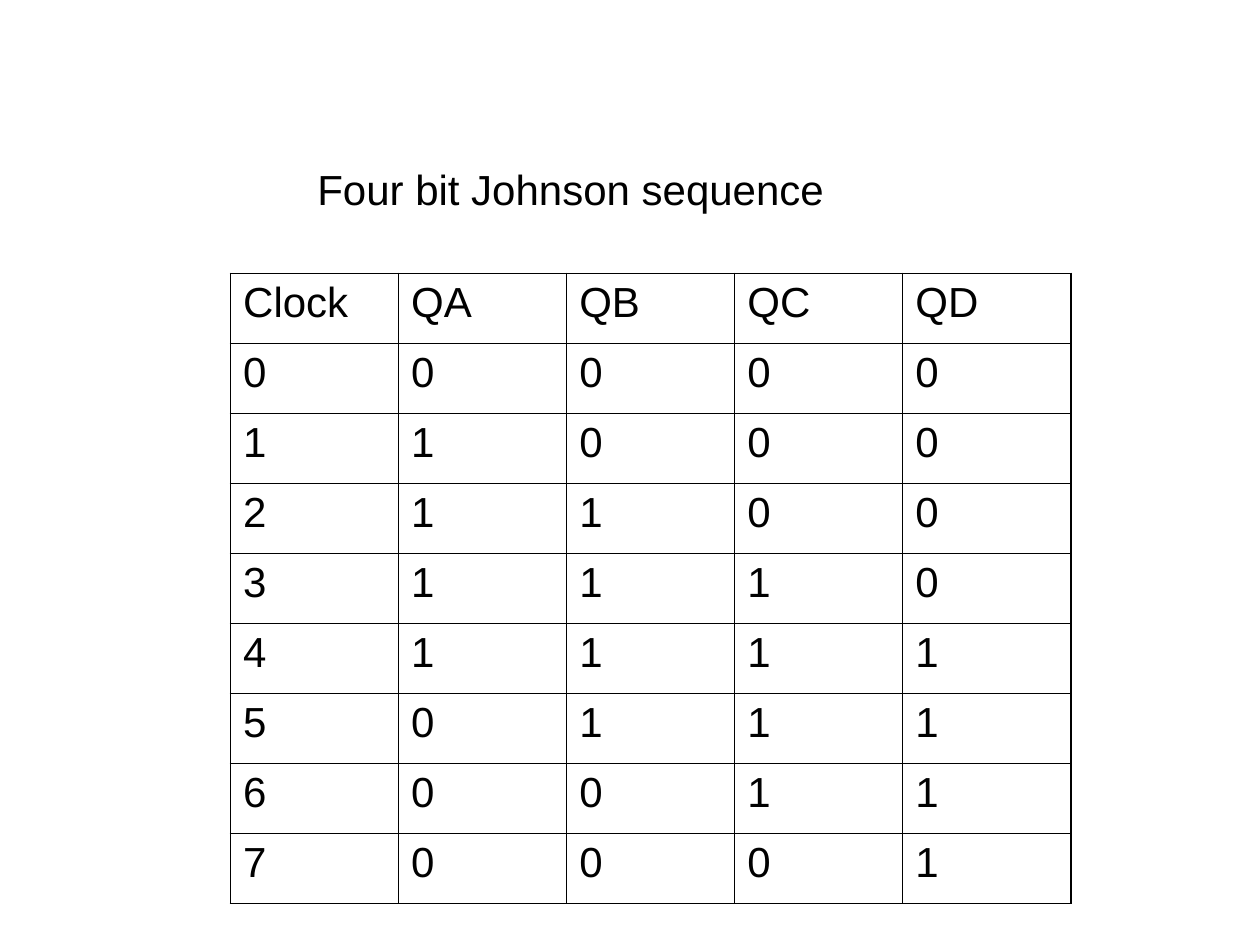
from lxml import etree
from pptx import Presentation
from pptx.dml.color import RGBColor
from pptx.enum import text
from pptx.oxml import parse_xml
from pptx.oxml.ns import nsdecls, qn
from pptx.util import Inches, Pt

BLACK = RGBColor(0x00, 0x00, 0x00)
BITS = ["QA", "QB", "QC", "QD"]
THICK, THIN = Pt(1.08), Pt(0.45)


def style(paragraph):
    font = paragraph.runs[0].font
    font.size = Pt(24)
    font.name = "Arial"
    font.color.rgb = BLACK
    return font


def add_border(cell, side, width):
    line = etree.SubElement(cell._tc.get_or_add_tcPr(), qn(f"a:ln{side}"), w=str(width))
    fill = etree.SubElement(line, qn("a:solidFill"))
    etree.SubElement(fill, qn("a:srgbClr"), val=str(BLACK))


prs = Presentation()
prs.slide_width, prs.slide_height = Inches(10), Inches(7.5)
slide = prs.slides.add_slide(prs.slide_layouts[6])

# Title with a text shadow
title = slide.shapes.add_textbox(Inches(2.42), Inches(1.25), Inches(5.5), Inches(0.9))
title.text_frame.word_wrap = True
title.text_frame.auto_size = text.MSO_AUTO_SIZE.SHAPE_TO_FIT_TEXT
title.text_frame.text = "Four bit Johnson sequence"
title_font = style(title.text_frame.paragraphs[0])
shadow = parse_xml(
    f'<a:effectLst {nsdecls("a")}><a:outerShdw dist="25400" dir="2700000">'
    '<a:srgbClr val="808080"/></a:outerShdw></a:effectLst>'
)
title_font._element.find(qn("a:solidFill")).addnext(shadow)

# Each bit goes high one clock after the bit before it, and stays high for four clocks
sequence = [["Clock"] + BITS]
for clock in range(2 * len(BITS)):
    states = [int(bit < clock <= bit + len(BITS)) for bit in range(len(BITS))]
    sequence.append([clock] + states)

last_row, last_col = len(sequence) - 1, len(BITS)
table = slide.shapes.add_table(
    last_row + 1, last_col + 1, Inches(1.83), Inches(2.17), Inches(6.67), Inches(5)
).table
table.first_row = table.horz_banding = False

for r, values in enumerate(sequence):
    for c, value in enumerate(values):
        cell = table.cell(r, c)
        cell.text = str(value)
        style(cell.text_frame.paragraphs[0])
        outer_edges = {"L": c == 0, "R": c == last_col, "T": r == 0, "B": r == last_row}
        for side, is_outer in outer_edges.items():
            add_border(cell, side, THICK if is_outer else THIN)
        cell.fill.background()

prs.save("out.pptx")
